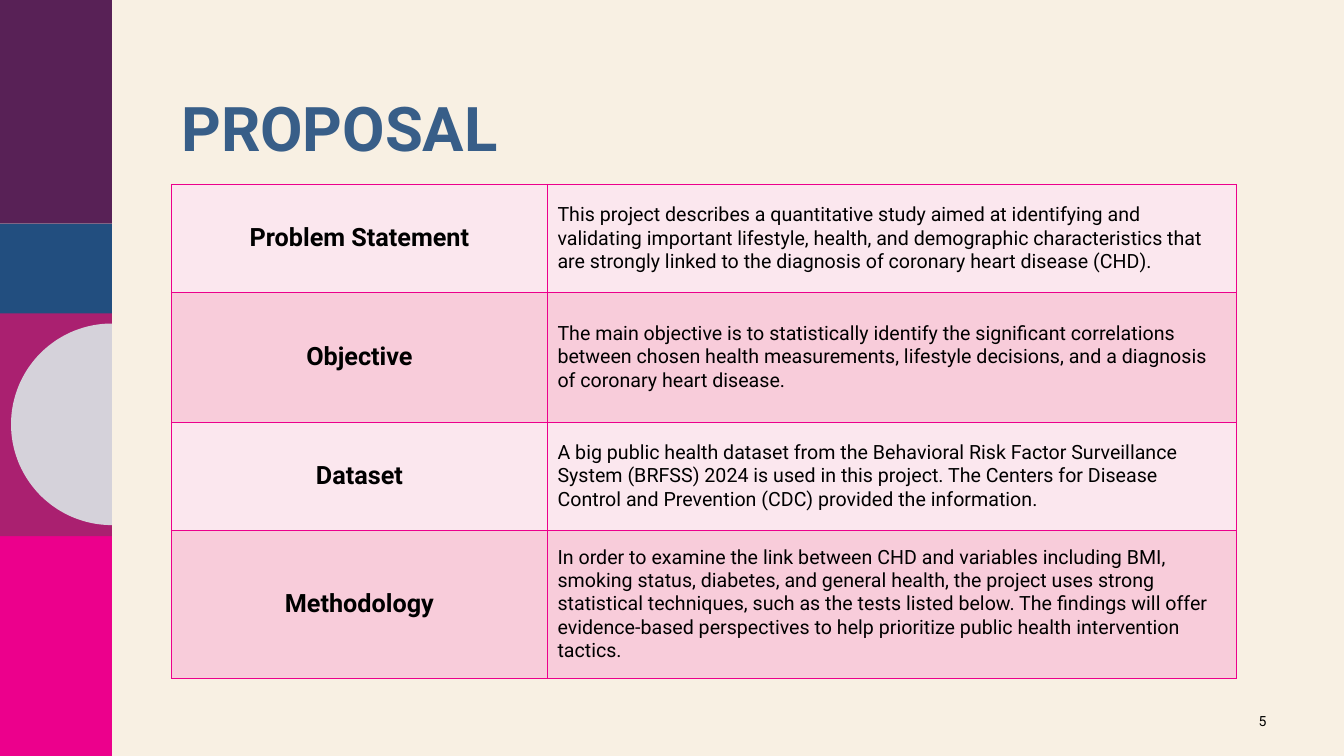
from math import cos, pi, sin

from lxml.etree import SubElement
from pptx import Presentation
from pptx.dml.color import RGBColor
from pptx.enum.shapes import MSO_SHAPE as SHAPE
from pptx.enum.text import MSO_ANCHOR as ANCHOR, PP_ALIGN as ALIGN
from pptx.oxml.ns import qn
from pptx.util import Pt

PX = 9144
FONT = "Roboto"
PINK = "EC008C"
ROW_FILLS = ["FBE7EE", "F8CCDA"]
BANDS = [
    (528, 222, PINK),
    (310, 222, "AA2070"),
    (0, 222, "582156"),
    (222, 89, "224E7F"),
]
ROWS = [
    (107, "Problem Statement",
     "This project describes a quantitative study aimed at identifying and "
     "validating important lifestyle, health, and demographic characteristics "
     "that are strongly linked to the diagnosis of coronary heart disease (CHD)."),
    (129, "Objective",
     "The main objective is to statistically identify the significant "
     "correlations between chosen health measurements, lifestyle decisions, "
     "and a diagnosis of coronary heart disease."),
    (107, "Dataset",
     "A big public health dataset from the Behavioral Risk Factor Surveillance "
     "System (BRFSS) 2024 is used in this project. The Centers for Disease "
     "Control and Prevention (CDC) provided the information."),
    (147, "Methodology",
     "In order to examine the link between CHD and variables including BMI, "
     "smoking status, diabetes, and general health, the project uses strong "
     "statistical techniques, such as the tests listed below. The findings will "
     "offer evidence-based perspectives to help prioritize public health "
     "intervention tactics."),
]


def px(*lengths):
    return [n * PX for n in lengths]


def paint(fill, color):
    fill.solid()
    fill.fore_color.rgb = RGBColor.from_string(color)


def write(tf, text, size, color="000000", bold=False, align=ALIGN.LEFT, spacing=None):
    tf.word_wrap = True
    p = tf.paragraphs[0]
    p.alignment = align
    p.line_spacing = spacing
    r = p.add_run()
    r.text = text
    r.font.name = FONT
    r.font.size = Pt(size)
    r.font.bold = bold
    r.font.color.rgb = RGBColor.from_string(color)


def add_text(s, box, text, size, anchor=ANCHOR.TOP, **style):
    tf = s.shapes.add_textbox(*px(*box)).text_frame
    tf.vertical_anchor = anchor
    write(tf, text, size, **style)


def finish_shape(sp, color):
    sp.shadow.inherit = False
    sp.line.fill.background()
    paint(sp.fill, color)


def add_sidebar(s, x, y, width):
    for top, height, color in BANDS:
        box = px(x, y + top, width, height)
        finish_shape(s.shapes.add_shape(SHAPE.RECTANGLE, *box), color)
    cx, cy, radius, steps = x + width, y + 421, 100, 90
    angles = [pi / 2 + pi * i / steps for i in range(steps + 1)]
    arc = [px(cx + radius * cos(a), cy + radius * sin(a)) for a in angles]
    builder = s.shapes.build_freeform(*arc[0], scale=1.0)
    builder.add_line_segments(arc[1:], close=True)
    finish_shape(builder.convert_to_shape(), "D5D2DA")


def add_borders(cell, color, width):
    tcPr = cell._tc.get_or_add_tcPr()
    for side in "LRTB":
        ln = SubElement(tcPr, qn(f"a:ln{side}"), w=str(Pt(width)))
        fill = SubElement(ln, qn("a:solidFill"))
        SubElement(fill, qn("a:srgbClr"), val=color)


def add_proposal_table(s, x, y, col_widths):
    height = sum(row[0] for row in ROWS)
    box = px(x, y, sum(col_widths), height)
    table = s.shapes.add_table(len(ROWS), len(col_widths), *box).table
    table.first_row = False
    table.horz_banding = False
    for col, width in zip(table.columns, px(*col_widths)):
        col.width = width
    for i, (row_height, label, detail) in enumerate(ROWS):
        table.rows[i].height = row_height * PX
        for cell in table.rows[i].cells:
            cell.vertical_anchor = ANCHOR.MIDDLE
            add_borders(cell, PINK, 1)
            paint(cell.fill, ROW_FILLS[i % 2])
        write(table.cell(i, 0).text_frame, label, 18, bold=True, align=ALIGN.CENTER)
        write(table.cell(i, 1).text_frame, detail, 14)


def main():
    prs = Presentation()
    prs.slide_width, prs.slide_height = px(1333, 750)
    s = prs.slides.add_slide(prs.slide_layouts[6])
    paint(s.background.fill, "F8F0E3")
    add_sidebar(s, 0, 0, 111)
    add_text(s, (170, 93, 1079, 149), "PROPOSAL", 44,
             color="385E88", bold=True, spacing=0.9)
    add_text(s, (1216, 695, 50, 40), "5", 10, anchor=ANCHOR.MIDDLE, align=ALIGN.RIGHT)
    add_proposal_table(s, 170, 183, [373, 683])
    prs.save("out.pptx")


if __name__ == "__main__":
    main()
